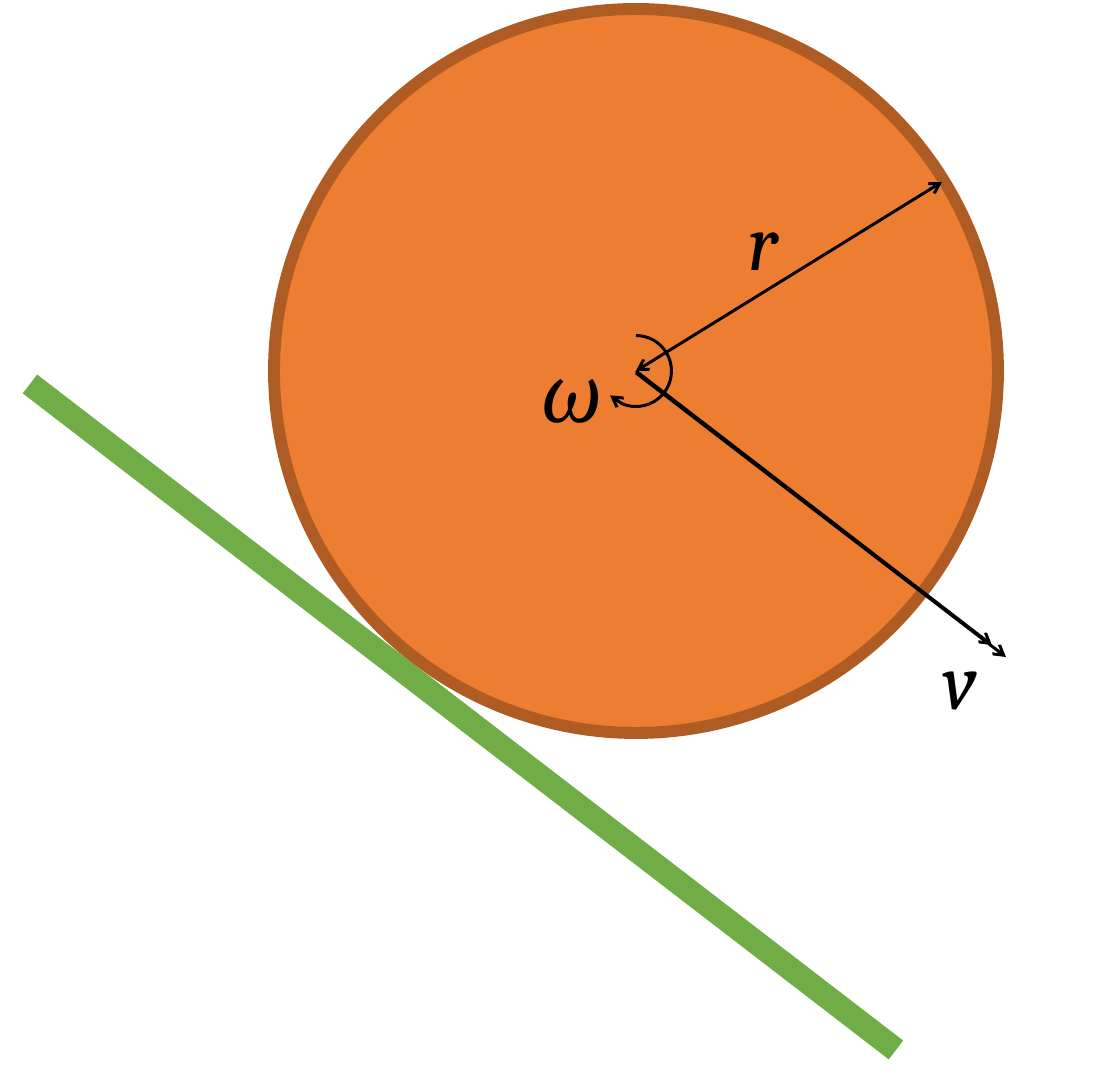
from pptx import Presentation
from pptx.dml.color import RGBColor
from pptx.enum.shapes import MSO_CONNECTOR, MSO_SHAPE
from pptx.enum.text import MSO_AUTO_SIZE, PP_ALIGN
from pptx.oxml.ns import qn
from pptx.util import Pt
from lxml import etree

OVAL, ARC = MSO_SHAPE.OVAL, MSO_SHAPE.ARC
STRAIGHT = MSO_CONNECTOR.STRAIGHT
CENTER = PP_ALIGN.CENTER
GROW = MSO_AUTO_SIZE.SHAPE_TO_FIT_TEXT

COLORS = {"wheel": "ED7D31", "rim": "AF5C24", "slope": "70AD47", "ink": "000000"}
SIZE = (1120, 1067)
HUB = (636, 371)
WHEEL, TURN = 362, 35.5
SLOPE = ((30, 384), (896, 1050))
ARROWS = [
    (HUB, (992, 645), ["tailEnd"]),
    (HUB, (942, 182), ["headEnd", "tailEnd"]),
]
SPEED = ((636, 373), (1006, 657), ["tailEnd"])
LABELS = [("r", 712, 184), ("v", 909, 623), ("ω", 521, 336)]
BOX = (101, 110)
SCALE = 914400 / 142.3


def emu(*pixels):
    return [round(p * SCALE) for p in pixels]


def color(name):
    return RGBColor.from_string(COLORS[name])


def style(shape, name, width, ends=()):
    shape.line.color.rgb = color(name)
    shape.line.width = Pt(width)
    for end in ends:
        etree.SubElement(shape.line._get_or_add_ln(), qn("a:" + end), type="arrow")


def disc(kind, radius):
    x, y = HUB
    shape = slide.shapes.add_shape(
        kind, *emu(x - radius, y - radius, 2 * radius, 2 * radius))
    shape.shadow.inherit = False
    return shape


def link(start, stop, ends=(), name="ink", width=1.5):
    line = slide.shapes.add_connector(STRAIGHT, *emu(*start, *stop))
    style(line, name, width, ends)
    etree.SubElement(line._element.spPr, qn("a:effectLst"))


def label(text, x, y):
    box = slide.shapes.add_textbox(*emu(x, y, *BOX))
    frame = box.text_frame
    frame.word_wrap = True
    frame.auto_size = GROW
    para = frame.paragraphs[0]
    para.text = text
    para.alignment = CENTER
    font = para.font
    font.name, font.size, font.italic = "Cambria", Pt(40), True
    font.color.rgb = color("ink")


deck = Presentation()
deck.slide_width, deck.slide_height = emu(*SIZE)
slide = deck.slides.add_slide(deck.slide_layouts[6])

wheel = disc(OVAL, WHEEL)
wheel.fill.solid()
wheel.fill.fore_color.rgb = color("wheel")
style(wheel, "rim", 6)

link(*SLOPE, name="slope", width=12)
for arrow in ARROWS:
    link(*arrow)
for item in LABELS:
    label(*item)

turn = disc(ARC, TURN)
turn.adjustments[0] = 162
turn.adjustments[1] = 82.05
turn.fill.background()
style(turn, "ink", 1.5, ["tailEnd"])

link(*SPEED)
deck.save("out.pptx")
